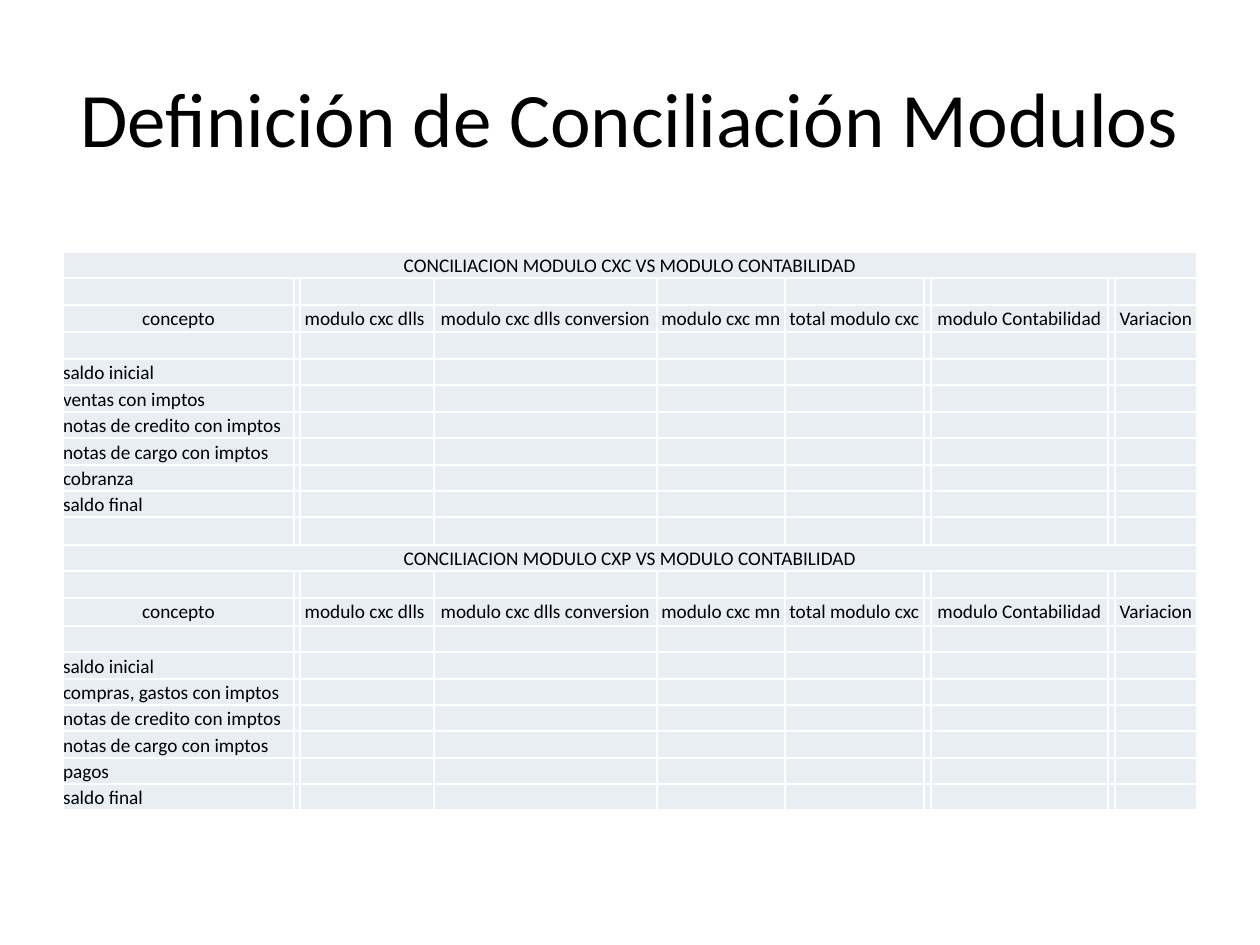
import pptx
import pptx.util
import pptx.dml.color
import pptx.enum.text
import pptx.oxml
import pptx.oxml.ns

SCALE = 914400 / 126
ALIGN = pptx.enum.text.PP_ALIGN
ANCHOR = pptx.enum.text.MSO_ANCHOR
BLACK, WHITE, PALE = "000000", "FFFFFF", "E9EDF4"
COLS = [231, 6, 134, 223, 128, 139, 7, 177, 7, 82]
ROWS = [26, 27, 27, 27, 26, 27, 26, 27, 26, 26, 28,
        26, 27, 28, 26, 27, 26, 26, 27, 26, 26]
HEADS = {0: "concepto", 2: "modulo cxc dlls ", 3: "modulo cxc dlls conversion",
         4: "modulo cxc mn", 5: "total modulo cxc",
         7: "modulo Contabilidad", 9: "Variacion"}
NOTES = ["notas de credito con imptos", "notas de cargo con imptos"]
BLOCKS = [
    (0, "CXC", ["saldo inicial", "ventas con imptos", *NOTES,
                "cobranza", "saldo final"]),
    (11, "CXP", ["saldo inicial", "compras, gastos con imptos", *NOTES,
                 "pagos", "saldo final"]),
]


def px(count):
    """Turn pixels into EMU."""
    return pptx.util.Emu(round(count * SCALE))


def color(code):
    """Turn a hex string into a colour."""
    return pptx.dml.color.RGBColor.from_string(code)


def style(para, size, align):
    """Set the font and alignment of a paragraph."""
    para.alignment = align
    para.font.name = "Calibri"
    para.font.size = pptx.util.Pt(size)
    para.font.color.rgb = color(BLACK)


def border(cell):
    """Draw thin white lines on all four sides of a cell."""
    props = cell._tc.get_or_add_tcPr()
    space = pptx.oxml.ns.nsdecls("a")
    for at, side in enumerate(("lnL", "lnR", "lnT", "lnB")):
        props.insert(at, pptx.oxml.parse_xml(
            f'<a:{side} {space} w="12700"><a:solidFill>'
            f'<a:srgbClr val="{WHITE}"/></a:solidFill></a:{side}>'))


def base(cell):
    """Give a cell its fill, borders and zero margins."""
    cell.margin_left = cell.margin_right = 0
    cell.margin_top = cell.margin_bottom = 0
    cell.fill.solid()
    cell.fill.fore_color.rgb = color(PALE)
    border(cell)
    para = cell.text_frame.paragraphs[0]
    style(para, 11, ALIGN.LEFT)
    para._p.append(pptx.oxml.parse_xml(
        f'<a:endParaRPr {pptx.oxml.ns.nsdecls("a")} sz="1100"/>'))


def write(cell, text, align=ALIGN.CENTER, anchor=ANCHOR.BOTTOM):
    """Put text into a cell."""
    cell.vertical_anchor = anchor
    para = cell.text_frame.paragraphs[0]
    para.add_run().text = text
    para.alignment = align


def block(table, top, name, items):
    """Fill one reconciliation block from row top down."""
    table.cell(top, 0).merge(table.cell(top, len(COLS) - 1))
    write(table.cell(top, 0),
          f"CONCILIACION MODULO {name} VS MODULO CONTABILIDAD")
    for col, head in HEADS.items():
        write(table.cell(top + 2, col), head, anchor=ANCHOR.MIDDLE)
    for row, item in enumerate(items, top + 4):
        write(table.cell(row, 0), item, ALIGN.LEFT)


def grid(slide):
    """Add the table with both blocks."""
    frame = slide.shapes.add_table(len(ROWS), len(COLS), px(63), px(252),
                                   px(sum(COLS)), px(sum(ROWS)))
    table = frame.table
    table.first_row = table.horz_banding = False
    for col, width in zip(table.columns, COLS):
        col.width = px(width)
    for row, height in zip(table.rows, ROWS):
        row.height = px(height)
    for cell in table.iter_cells():
        base(cell)
    for top, name, items in BLOCKS:
        block(table, top, name, items)


def title(slide, text):
    """Place and format the slide title."""
    shape = slide.shapes.title
    shape.left, shape.top = px(63), px(38)
    shape.width, shape.height = px(1134), px(157)
    shape.text_frame.text = text
    shape.text_frame.vertical_anchor = ANCHOR.MIDDLE
    style(shape.text_frame.paragraphs[0], 44, ALIGN.CENTER)


def main():
    """Build the slide and save it."""
    deck = pptx.Presentation()
    deck.slide_width, deck.slide_height = px(1260), px(945)
    slide = deck.slides.add_slide(deck.slide_layouts[5])
    title(slide, "Definición de Conciliación Modulos")
    grid(slide)
    deck.save("out.pptx")


main()
